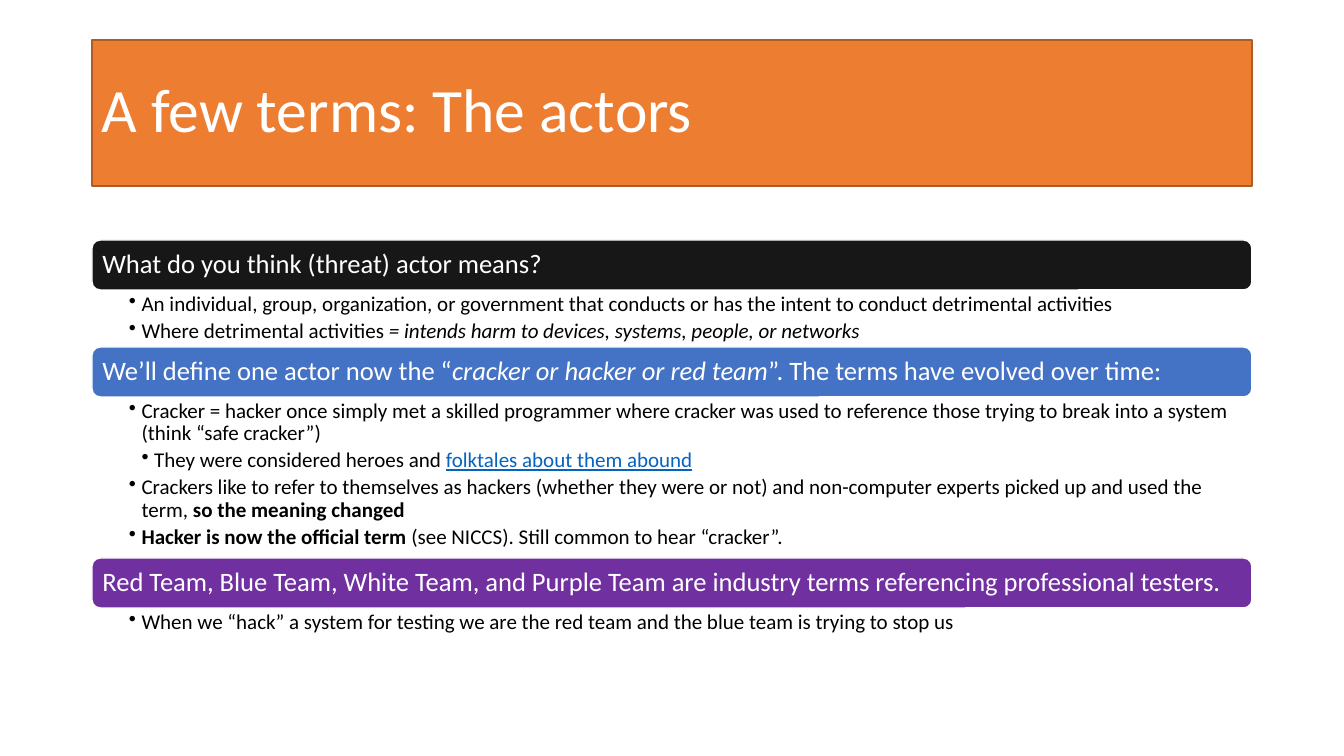
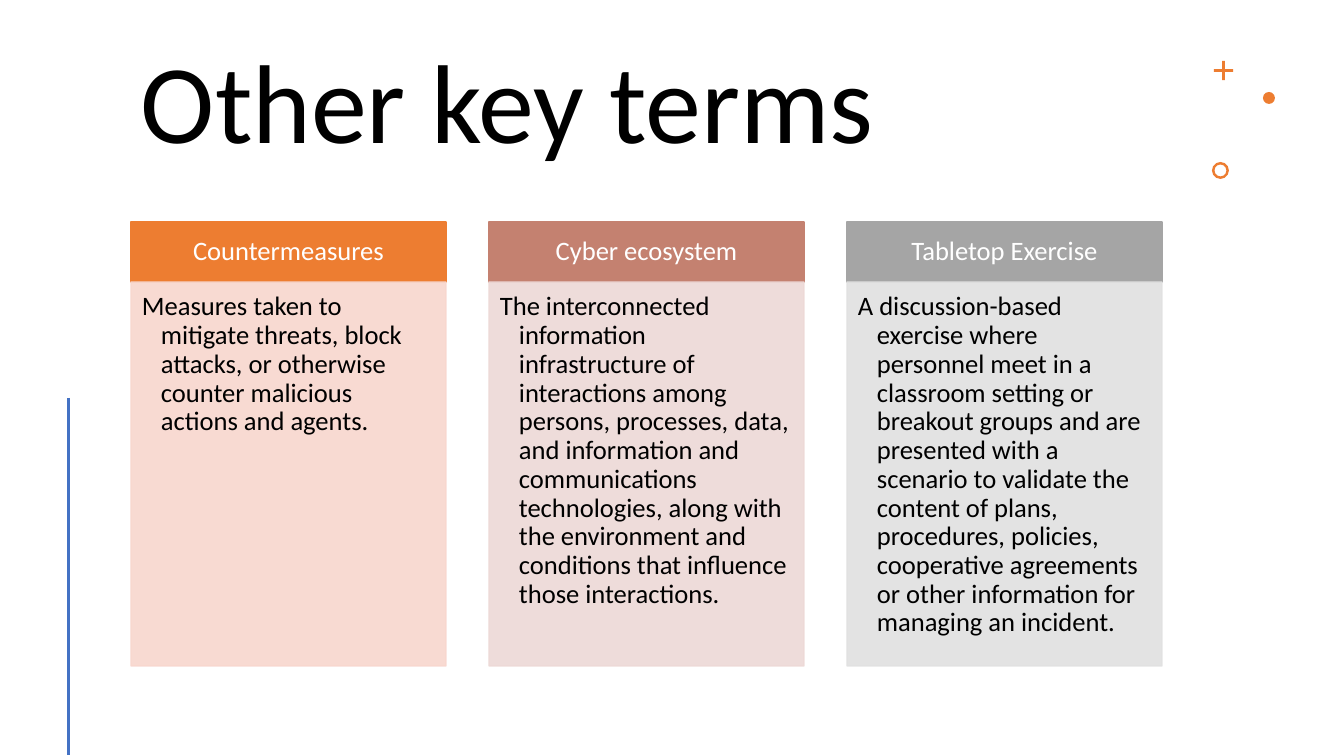
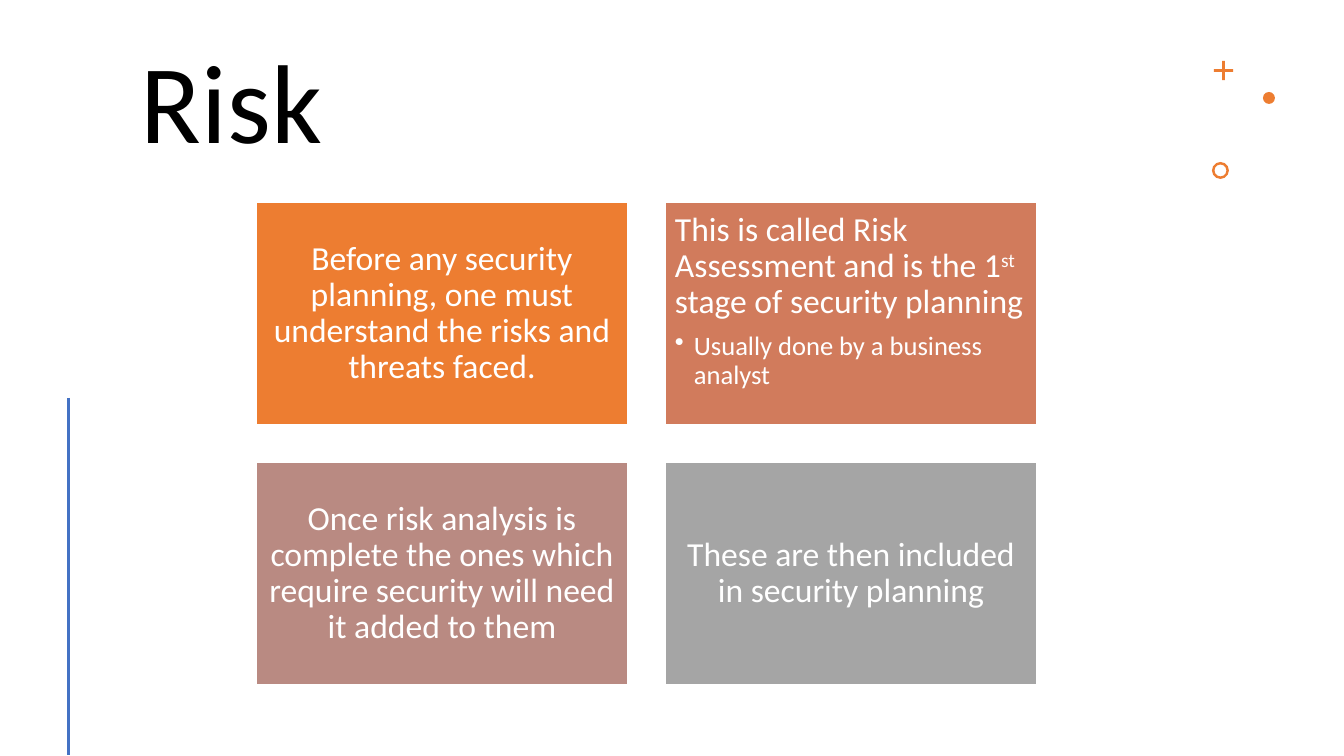
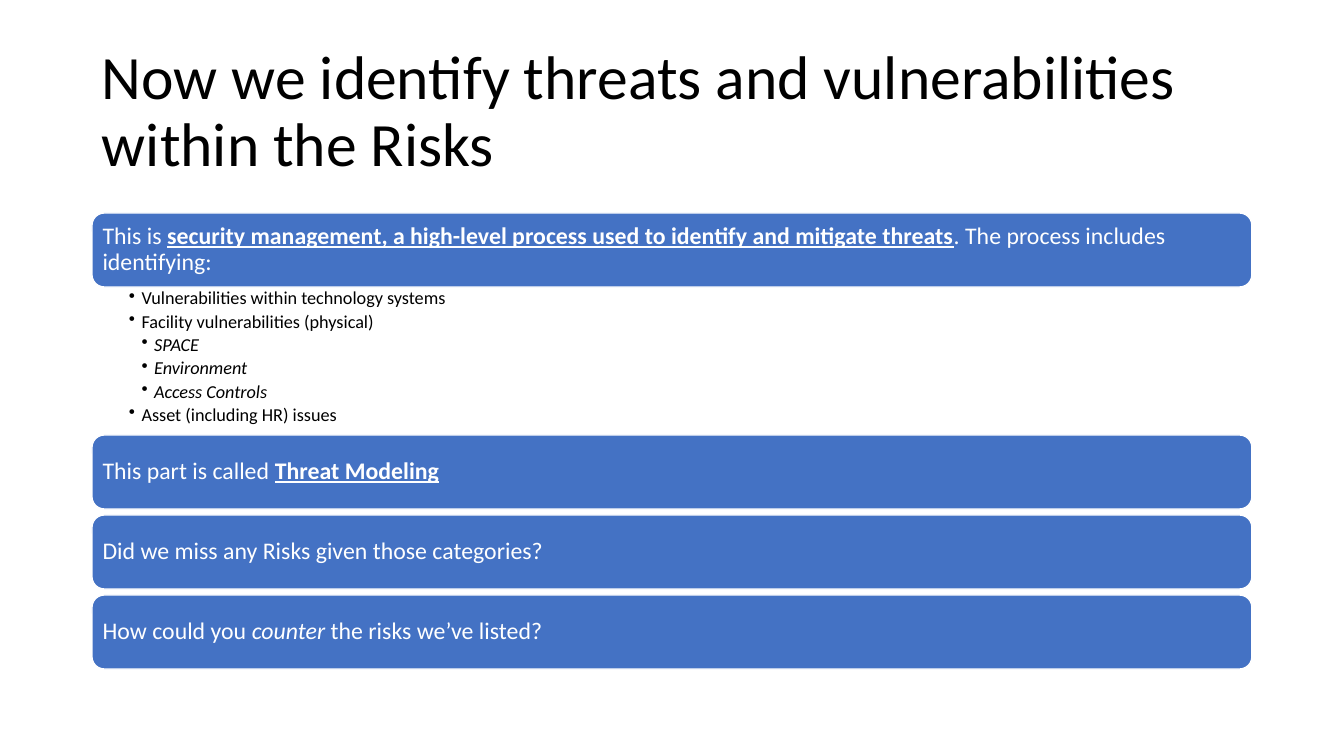
"""Build four slides on cyber security terms, risks and threats."""
import pptx
import pptx.dml.color
import pptx.enum.shapes
import pptx.enum.text
import pptx.oxml.ns
import pptx.oxml.xmlchemy
import pptx.util

FORM = pptx.enum.shapes.MSO_SHAPE
ANCHOR = pptx.enum.text.MSO_ANCHOR
ALIGN = pptx.enum.text.PP_ALIGN
SCALE = 914400 / 100.8
FONT = "Calibri"
WHITE, BLACK, ORANGE, BLUE = "FFFFFF", "000000", "ED7D31", "4472C4"
GREY, LINK = "A5A5A5", "0563C1"
WIDE = (92, 40, 1160, 146)
TALL = (131, 42, 1031, 132)

ACTORS = [
    ("181717", "What do you think (threat) actor means?", 57, [
        (1, "An individual, group, organization, or government that conducts "
            "or has the intent to conduct detrimental activities"),
        (1, [("Where detrimental activities", ""),
             (" = intends harm to devices, systems, people, or networks", "i")]),
    ]),
    (BLUE, [("We’ll define one actor now the “", ""),
            ("cracker or hacker or red team", "i"),
            ("”. The terms have evolved over time:", "")], 161, [
        (1, "Cracker = hacker once simply met a skilled programmer where "
            "cracker was used to reference those trying to break into a "
            "system (think “safe cracker”)"),
        (2, [("They were considered heroes and ", ""),
             ("folktales about them abound", "ul")]),
        (1, [("Crackers like to refer to themselves as hackers (whether they "
              "were or not) and non-computer experts picked up and used the "
              "term, ", ""),
             ("so the meaning changed", "b")]),
        (1, [("Hacker is now the official term", "b"),
             (" (see NICCS). Still common to hear “cracker”.", "")]),
    ]),
    ("7030A0", "Red Team, Blue Team, White Team, and Purple Team are industry "
               "terms referencing professional testers.", 34, [
        (1, "When we “hack” a system for testing we are the red team and the "
            "blue team is trying to stop us"),
    ]),
]

TERMS = [
    (ORANGE, "F8D7CE", "Countermeasures",
     "Measures taken to mitigate threats, block attacks, or otherwise counter "
     "malicious actions and agents."),
    ("C48170", "EDD9D7", "Cyber ecosystem",
     "The interconnected information infrastructure of interactions among "
     "persons, processes, data, and information and communications "
     "technologies, along with the environment and conditions that influence "
     "those interactions."),
    (GREY, "E1E1E1", "Tabletop Exercise",
     "A discussion-based exercise where personnel meet in a classroom setting "
     "or breakout groups and are presented with a scenario to validate the "
     "content of plans, procedures, policies, cooperative agreements or other "
     "information for managing an incident."),
]

RISKS = [
    (ORANGE, "Before any security planning, one must understand the risks and "
             "threats faced.", None),
    ("D17B5C", [("This is called Risk Assessment and is the 1", ""),
                ("st", "s"), (" stage of security planning", "")],
     "Usually done by a business analyst"),
    ("B98A82", "Once risk analysis is complete the ones which require security "
               "will need it added to them", None),
    (GREY, "These are then included in security planning", None),
]

THREATS = [
    (BLUE, [("This is ", ""),
            ("security management, a high-level process used to identify and "
             "mitigate threats", "bu"),
            (". The process includes identifying:", "")], 148, [
        (1, "Vulnerabilities within technology systems"),
        (1, "Facility vulnerabilities (physical)"),
        (2, [("SPACE", "i")]),
        (2, [("Environment", "i")]),
        (2, [("Access Controls", "i")]),
        (1, "Asset (including HR) issues"),
    ]),
    (BLUE, [("This part is called ", ""), ("Threat Modeling", "bu")], 6, []),
    (BLUE, "Did we miss any Risks given those categories?", 6, []),
    (BLUE, [("How could you ", ""), ("counter", "i"),
            (" the risks we’ve listed?", "")], 6, []),
]

MARKS = [
    (FORM.CROSS, (1214, 61, 19, 19), 0.43),
    (FORM.OVAL, (1263, 92, 12, 12), None),
    (FORM.DONUT, (1212, 162, 17, 17), 0.15),
]


def px(size):
    """Turn pixels into EMU."""
    return pptx.util.Emu(round(size * SCALE))


def color(code):
    """Turn a hex string into a colour."""
    return pptx.dml.color.RGBColor.from_string(code)


def node(name):
    """Make an empty XML element."""
    return pptx.oxml.xmlchemy.OxmlElement(name)


def paint(fill, code):
    """Make a fill solid."""
    fill.solid()
    fill.fore_color.rgb = color(code)


def box(slide, place, fill=None, edge=None, form=FORM.RECTANGLE):
    """Add a filled shape, or a text box when there is no fill."""
    spot = [px(side) for side in place]
    if fill is None:
        return slide.shapes.add_textbox(*spot)
    shape = slide.shapes.add_shape(form, *spot)
    shape.shadow.inherit = False
    paint(shape.fill, fill)
    if edge:
        paint(shape.line.fill, edge)
        shape.line.width = pptx.util.Pt(1)
    else:
        shape.line.fill.background()
    return shape


def fade(shape, share):
    """Set the opacity of a shape's fill and line."""
    for tint in shape.element.spPr.iter(pptx.oxml.ns.qn("a:srgbClr")):
        alpha = node("a:alpha")
        alpha.set("val", str(share * 1000))
        tint.append(alpha)


def frame(shape, pads, anchor=ANCHOR.TOP):
    """Set wrapping, anchor and left, top, right, bottom insets."""
    text = shape.text_frame
    text.word_wrap = True
    text.vertical_anchor = anchor
    (text.margin_left, text.margin_top,
     text.margin_right, text.margin_bottom) = [px(pad) for pad in pads]
    return text


def write(para, words, size, ink, after=0, align=ALIGN.LEFT):
    """Fill a paragraph with plain text or styled runs."""
    para.alignment = align
    para.line_spacing = 0.9
    para.space_after = pptx.util.Pt(size * after)
    for part, style in [(words, "")] if isinstance(words, str) else words:
        run = para.add_run()
        run.text = part
        font = run.font
        font.name, font.size = FONT, pptx.util.Pt(size)
        font.color.rgb = color(LINK if "l" in style else ink)
        font.bold, font.italic = "b" in style, "i" in style
        font.underline = "u" in style
        if "s" in style:
            run._r.get_or_add_rPr().set("baseline", "30000")


def hang(para, left, back, bullet=True):
    """Give a paragraph a hanging indent and a bullet."""
    props = para._p.get_or_add_pPr()
    props.set("marL", str(px(left)))
    props.set("indent", str(-px(back)))
    if bullet:
        mark = node("a:buChar")
        mark.set("char", "•")
        props.append(mark)


def title(slide, words, place, size, ink=BLACK, fill=None, edge=None,
          anchor=ANCHOR.TOP):
    """Add the slide title."""
    text = frame(box(slide, place, fill, edge), (10, 5, 10, 5), anchor)
    write(text.paragraphs[0], words, size, ink)


def stack(slide, rows, top, high, pad, big, small):
    """Stack rounded bars, each with its bullets below."""
    left, wide = WIDE[0], WIDE[2]
    for fill, head, room, items in rows:
        bar = box(slide, (left, top, wide, high), fill, WHITE,
                  FORM.ROUNDED_RECTANGLE)
        text = frame(bar, [pad] * 4, ANCHOR.MIDDLE)
        write(text.paragraphs[0], head, big, WHITE)
        top += high
        if items:
            rim = small // 5
            text = frame(box(slide, (left, top, wide, room)),
                         (37, rim, 15, rim))
            for spot, (level, words) in enumerate(items):
                para = text.add_paragraph() if spot else text.paragraphs[0]
                write(para, words, small, BLACK, 0.2)
                hang(para, 12.6 * level, 12.6)
        top += room


def adorn(slide):
    """Add the corner marks and the side line."""
    for form, place, bend in MARKS:
        mark = box(slide, place, ORANGE, form=form)
        if bend:
            mark.adjustments[0] = bend
    line = slide.shapes.add_connector(
        pptx.enum.shapes.MSO_CONNECTOR.STRAIGHT,
        px(68.5), px(398), px(68.5), px(755))
    paint(line.line.fill, BLUE)
    line.line.width = pptx.util.Pt(2)
    line._element.spPr.append(node("a:effectLst"))


def columns(slide):
    """Place the terms in three columns."""
    for spot, (dark, pale, head, words) in enumerate(TERMS):
        left = 131 + 358 * spot
        cap = box(slide, (left, 222, 315, 60), dark, dark)
        text = frame(cap, (15, 8, 15, 8), ANCHOR.MIDDLE)
        write(text.paragraphs[0], head, 19, WHITE, align=ALIGN.CENTER)
        body = box(slide, (left, 282, 315, 384), pale, pale)
        fade(body, 90)
        para = frame(body, (11, 11, 15, 17)).paragraphs[0]
        write(para, words, 19, BLACK)
        hang(para, 19, 19, False)


def cards(slide):
    """Place the risks in a grid of two by two."""
    for spot, (fill, words, note) in enumerate(RISKS):
        row, col = divmod(spot, 2)
        card = box(slide, (256 + 409 * col, 202 + 260 * row, 372, 223),
                   fill, WHITE)
        text = frame(card, [10] * 4, ANCHOR.TOP if note else ANCHOR.MIDDLE)
        write(text.paragraphs[0], words, 24, WHITE, 0.35 if note else 0,
              ALIGN.LEFT if note else ALIGN.CENTER)
        if note:
            para = text.add_paragraph()
            write(para, note, 19, WHITE, 0.15)
            hang(para, 19, 19)


deck = pptx.Presentation()
deck.slide_width, deck.slide_height = px(1344), px(756)
actors, terms, risks, threats = [
    deck.slides.add_slide(deck.slide_layouts[6]) for _ in range(4)]

title(actors, "A few terms: The actors", WIDE, 44, WHITE, ORANGE, "AF5C24",
      ANCHOR.MIDDLE)
stack(actors, ACTORS, 240, 50, 8, 19, 15)

title(terms, "Other key terms", TALL, 80)
adorn(terms)
columns(terms)

title(risks, "Risk", TALL, 80)
adorn(risks)
cards(risks)

title(threats, "Now we identify threats and vulnerabilities within the Risks",
      WIDE, 44, anchor=ANCHOR.MIDDLE)
stack(threats, THREATS, 213, 74, 7, 17, 13)

deck.save("out.pptx")
